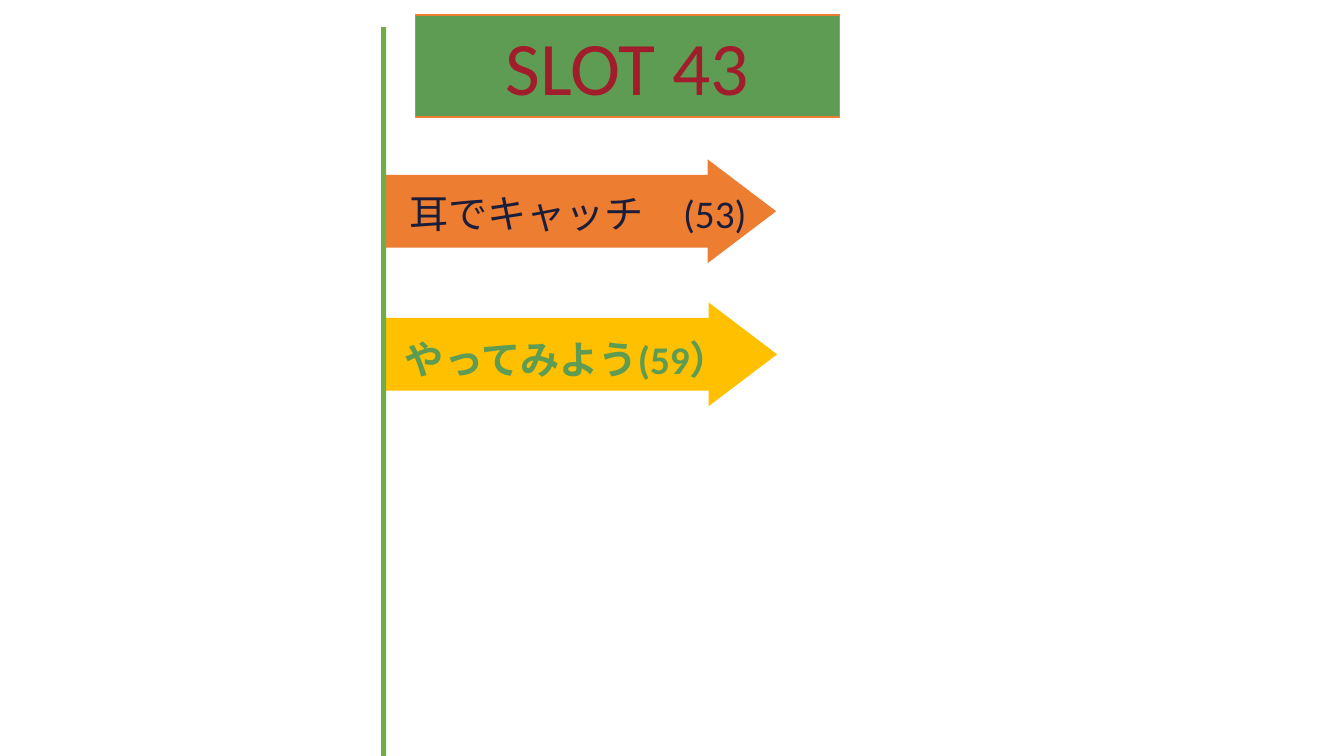
from pptx import Presentation
from pptx.dml.color import RGBColor
from pptx.enum.shapes import MSO_SHAPE as Preset
from pptx.enum.text import MSO_ANCHOR as Anchor, MSO_AUTO_SIZE as AutoSize, PP_ALIGN as Align
from pptx.util import Pt

ORANGE = RGBColor(0xED, 0x7D, 0x31)
YELLOW = RGBColor(0xFF, 0xC0, 0x00)
STEM_GREEN = RGBColor(0x70, 0xAD, 0x47)
LEAF_GREEN = RGBColor(0x5E, 0x9C, 0x53)
RED = RGBColor(0xA1, 0x1D, 0x2B)
NAVY = RGBColor(0x1A, 0x1E, 0x3B)


def place(item, left, top, width, height):
    bounds = {"left": left, "top": top, "width": width, "height": height}
    for name, value in bounds.items():
        setattr(item, name, Pt(value))


def write(box, text, size, color, bold=False, align=Align.LEFT):
    frame = box.text_frame
    layout = {"word_wrap": True, "auto_size": AutoSize.NONE, "vertical_anchor": Anchor.TOP}
    for name, value in layout.items():
        setattr(frame, name, value)
    para = frame.paragraphs[0]
    para.alignment = align
    para.line_spacing = 1.0
    span = para.add_run()
    span.text = text
    for name, value in {"name": "Calibri", "size": Pt(size), "bold": bold}.items():
        setattr(span.font, name, value)
    span.font.color.rgb = color


def add_block(page, preset, bounds, fill):
    block = page.shapes.add_shape(preset, *map(Pt, bounds))
    block.shadow.inherit = False
    block.fill.solid()
    block.fill.fore_color.rgb = fill
    block.line.fill.background()
    return block


def add_arrow(page, bounds, fill):
    arrow = add_block(page, Preset.RIGHT_ARROW, bounds, fill)
    arrow.adjustments[0] = 0.7
    arrow.adjustments[1] = 0.66


def add_label(page, bounds, text, color, bold):
    box = page.shapes.add_textbox(*map(Pt, bounds))
    write(box, text, 28, color, bold)


def add_heading(page, text):
    title = page.shapes.title
    place(title, 296.6, 10.8, 303.1, 72.7)
    title.fill.solid()
    title.fill.fore_color.rgb = LEAF_GREEN
    title.line.color.rgb = ORANGE
    title.line.width = Pt(1)
    write(title, text, 54, RED, align=Align.CENTER)


def main():
    deck = Presentation()
    deck.slide_width, deck.slide_height = Pt(960), Pt(540)
    page = deck.slides.add_slide(deck.slide_layouts[5])

    # Heading
    add_heading(page, "SLOT 43")

    # Arrows growing from the stem
    add_arrow(page, (272.2, 113.8, 282.2, 74.2), ORANGE)
    add_arrow(page, (274.3, 216, 280.8, 74.2), YELLOW)
    add_block(page, Preset.RECTANGLE, (272.2, 19.4, 3.6, 520.6), STEM_GREEN)

    # Activity labels
    add_label(page, (285.1, 131.8, 280.8, 41), "耳でキャッチ\u3000(53)".replace("\u3000", "　"), NAVY, False)
    add_label(page, (282.2, 236.2, 316.8, 41), "やってみよう(59）", LEAF_GREEN, True)

    deck.save("out.pptx")


if __name__ == "__main__":
    main()
